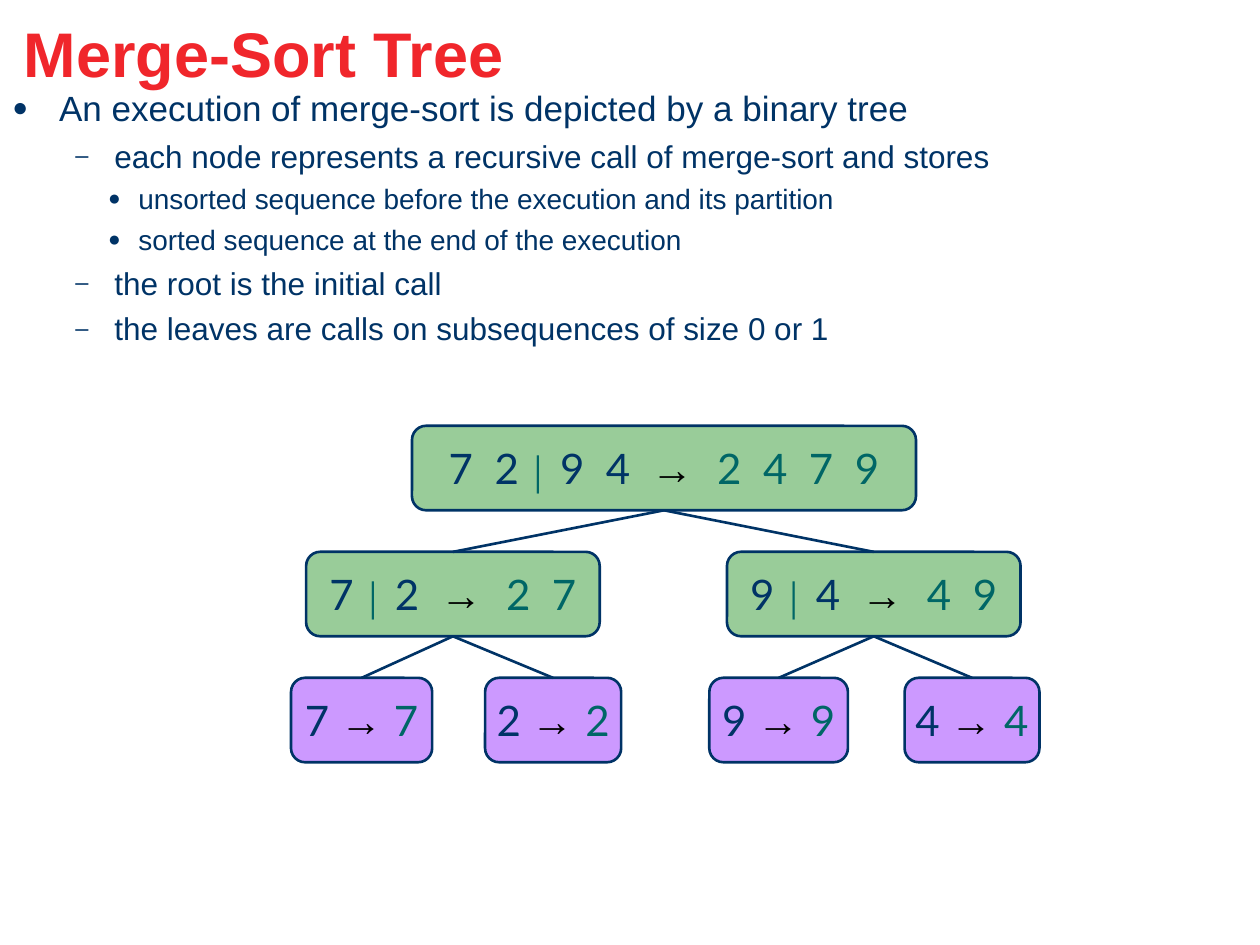
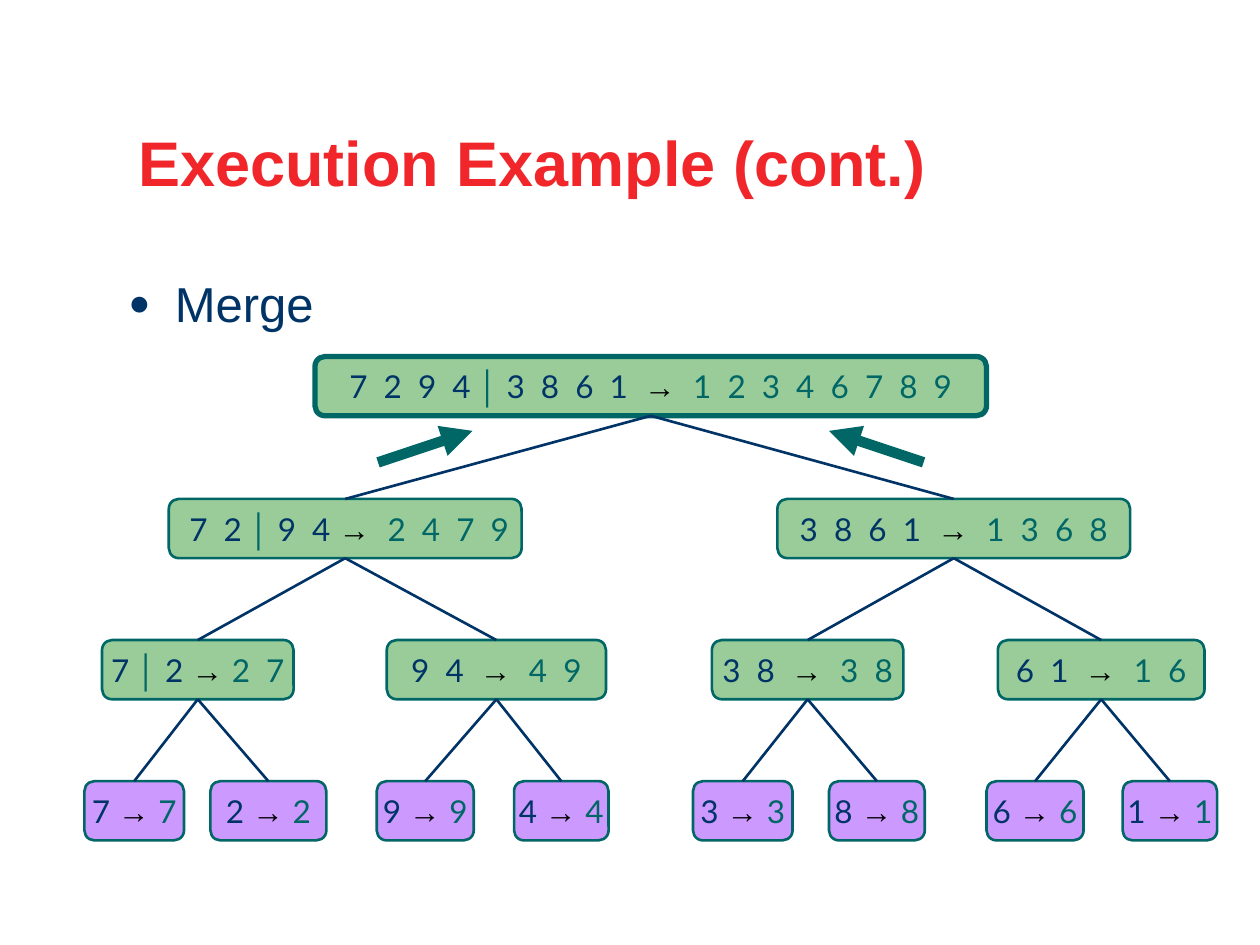
from itertools import chain

from lxml import etree
from pptx import Presentation
from pptx import util as u
from pptx.dml.color import RGBColor
from pptx.enum import shapes, text
from pptx.oxml.ns import qn

PX = 9144  # EMU per px, 100 px to the inch
SLIDE_SIZE = (1000, 750)

RED, NAVY, TEAL, BLACK = "F0262B", "003366", "006666", "000000"
GREEN, VIOLET = "99CC99", "CC99FF"
TEXT_FONT, NUMBER_FONT = "Arial", "Lato"
BAR_SIZE = 18  # points, the divider between the two halves
TOP_SITE, BOTTOM_SITE = 0, 2  # connection sites of a node

# Bullet level: left margin px, indent px, character
BULLETS = [(37, -37, "●"), (81, -31, "–"), (100, -24, "●")]

# A tree level is its top and its nodes (left, width, label);
# node n has children 2n and 2n + 1 on the next level.
SLIDES = [
    {
        "title": ("Merge-Sort Tree", (9, 13, 875, 64)),
        "body_box": (0, 69, 875, 216),
        "body": [  # level, points, text
            (0, 20, "An execution of merge-sort is depicted by a binary tree"),
            (1, 18, "each node represents a recursive call of merge-sort and stores"),
            (2, 16, "unsorted sequence before the execution and its partition"),
            (2, 16, "sorted sequence at the end of the execution"),
            (1, 18, "the root is the initial call"),
            (1, 18, "the leaves are calls on subsequences of size 0 or 1"),
        ],
        "node": {"height": 67, "size": 24, "outline": NAVY},
        "root_weight": 1.5,
        "tree": [
            (338, [(327, 400, "7  2 │ 9  4  →  2  4  7  9")]),
            (438, [(243, 233, "7 │ 2  →  2  7"), (577, 233, "9 │ 4  →  4  9")]),
            (538, [(231, 112, "7 → 7"), (385, 108, "2 → 2"),
                   (563, 110, "9 → 9"), (718, 107, "4 → 4")]),
        ],
        "merge_arrows": [],
    },
    {
        "title": ("Execution Example (cont.)", (100, 100, 875, 64)),
        "body_box": (92, 217, 850, 57),
        "body": [(0, 28, "Merge")],
        "node": {"height": 47, "size": 18, "outline": TEAL},
        "root_weight": 3,
        "tree": [
            (283, [(250, 533, "7  2  9  4 │ 3  8  6  1  →  1  2  3  4  6  7  8  9")]),
            (396, [(134, 280, " 7  2 │ 9  4 →  2  4  7  9"),
                   (617, 280, "3  8  6  1  →  1  3  6  8")]),
            (508, [(81, 152, "7 │ 2 → 2  7"), (307, 174, "9  4  →  4  9"),
                   (565, 152, "3  8  →  3  8"), (792, 164, "6  1  →  1  6")]),
            (620, [(67, 79, "7 → 7"), (167, 92, "2 → 2"),
                   (299, 77, "9 → 9"), (408, 75, "4 → 4"),
                   (550, 79, "3 → 3"), (658, 76, "8 → 8"),
                   (783, 77, "6 → 6"), (891, 75, "1 → 1")]),
        ],
        "merge_arrows": [(300, 367, 375, 342), (733, 367, 658, 342)],
    },
]


def px(*lengths):
    return [u.Emu(length * PX) for length in lengths]


def color(value):
    return RGBColor.from_string(value)


def add_span(para, words, size, ink, font=TEXT_FONT, bold=False):
    span = para.add_run()
    span.text = words
    span.font.size = u.Pt(size)
    span.font.name = font
    span.font.bold = bold
    span.font.color.rgb = color(ink)


def add_text_box(page, place):
    frame = page.shapes.add_textbox(*px(*place)).text_frame
    frame.word_wrap = True
    return frame


def add_title(page, words, place):
    frame = add_text_box(page, place)
    frame.vertical_anchor = text.MSO_ANCHOR.BOTTOM
    para = frame.paragraphs[0]
    para.line_spacing = 0.9
    add_span(para, words, 36, RED, bold=True)


def set_bullet(para, level):
    margin, indent, character = BULLETS[level]
    props = para._p.get_or_add_pPr()
    props.set("marL", str(margin * PX))
    props.set("indent", str(indent * PX))
    ink = etree.SubElement(props, qn("a:buClr"))
    etree.SubElement(ink, qn("a:srgbClr"), val=NAVY)
    etree.SubElement(props, qn("a:buSzPct"), val="75000")
    etree.SubElement(props, qn("a:buFont"), typeface=TEXT_FONT)
    etree.SubElement(props, qn("a:buChar"), char=character)


def add_body(page, items, place):
    frame = add_text_box(page, place)
    frame.margin_top = 0
    for index, (level, size, words) in enumerate(items):
        para = frame.add_paragraph() if index else frame.paragraphs[0]
        para.level = level
        para.space_before = u.Pt(size / 4)
        set_bullet(para, level)
        add_span(para, words, size, NAVY)


def add_label(para, label, size):
    """Input in navy, divider and sorted output in teal, arrow in black."""
    before, _, after = label.partition("→")
    left, bar, right = before.partition("│")
    output = after.lstrip()
    gap = after[:len(after) - len(output)]
    add_span(para, left, size, NAVY, NUMBER_FONT)
    if bar:
        add_span(para, bar, BAR_SIZE, TEAL, bold=True)
        add_span(para, right, size, NAVY, NUMBER_FONT)
    add_span(para, "→" + gap, size, BLACK, bold=True)
    add_span(para, output, size, TEAL, NUMBER_FONT)


def add_node(page, place, label, fill, size, outline, weight):
    node = page.shapes.add_shape(shapes.MSO_SHAPE.ROUNDED_RECTANGLE, *px(*place))
    node.shadow.inherit = False
    node.fill.solid()
    node.fill.fore_color.rgb = color(fill)
    node.line.color.rgb = color(outline)
    node.line.width = u.Pt(weight)
    frame = node.text_frame
    frame.word_wrap = False
    frame.vertical_anchor = text.MSO_ANCHOR.MIDDLE
    para = frame.paragraphs[0]
    para.alignment = text.PP_ALIGN.CENTER
    add_label(para, label, size)
    return node


def add_line(page, ends, ink, weight):
    line = page.shapes.add_connector(shapes.MSO_CONNECTOR.STRAIGHT, *px(*ends))
    line.line.color.rgb = color(ink)
    line.line.width = u.Pt(weight)
    etree.SubElement(line._element.spPr, qn("a:effectLst"))
    return line


def add_tree(page, tree, style, root_weight):
    parents = []
    for depth, (top, row) in enumerate(tree):
        fill = VIOLET if depth == len(tree) - 1 else GREEN
        weight = 1.5 if depth else root_weight
        nodes = [
            add_node(page, (left, top, width, style["height"]), label, fill,
                     style["size"], style["outline"], weight)
            for left, width, label in row
        ]
        # Each parent is joined to its two children
        for parent, child in zip(chain.from_iterable(zip(parents, parents)), nodes):
            edge = add_line(page, (0, 0, 0, 0), NAVY, 1.5)
            edge.begin_connect(parent, BOTTOM_SITE)
            edge.end_connect(child, TOP_SITE)
        parents = nodes


def add_merge_arrow(page, ends):
    arrow = add_line(page, ends, TEAL, 6)
    etree.SubElement(arrow.line._get_or_add_ln(), qn("a:tailEnd"), type="triangle")


def main():
    deck = Presentation()
    deck.slide_width, deck.slide_height = px(*SLIDE_SIZE)
    for content in SLIDES:
        page = deck.slides.add_slide(deck.slide_layouts[6])
        add_title(page, *content["title"])
        add_body(page, content["body"], content["body_box"])
        add_tree(page, content["tree"], content["node"], content["root_weight"])
        for ends in content["merge_arrows"]:
            add_merge_arrow(page, ends)
    deck.save("out.pptx")


if __name__ == "__main__":
    main()
